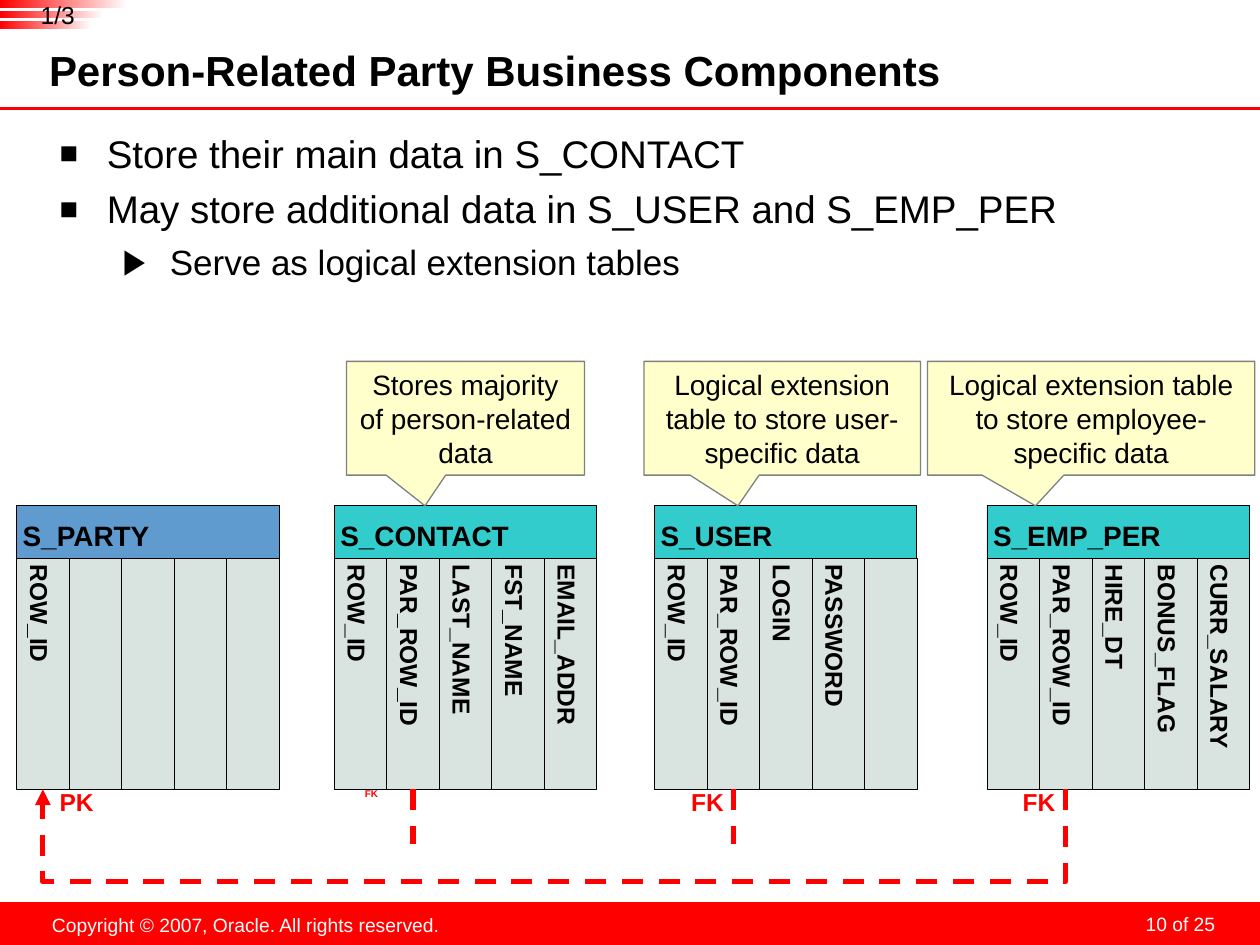
"""Build the slide on person-related party business components."""
from dataclasses import dataclass

from lxml import etree
from pptx import Presentation
from pptx.dml.color import RGBColor
from pptx.enum.dml import MSO_LINE
from pptx.enum.shapes import MSO_CONNECTOR, MSO_SHAPE
from pptx.enum.text import MSO_ANCHOR, MSO_AUTO_SIZE, PP_ALIGN
from pptx.oxml.ns import qn
from pptx.util import Pt

RECT, ROUND, CALLOUT = MSO_SHAPE.RECTANGLE, MSO_SHAPE.ROUNDED_RECTANGLE, MSO_SHAPE.RECTANGULAR_CALLOUT
STRAIGHT, ELBOW = MSO_CONNECTOR.STRAIGHT, MSO_CONNECTOR.ELBOW
LEFT, CENTER, RIGHT = PP_ALIGN.LEFT, PP_ALIGN.CENTER, PP_ALIGN.RIGHT
TOP, MIDDLE = MSO_ANCHOR.TOP, MSO_ANCHOR.MIDDLE
DASH, NO_FIT = MSO_LINE.DASH, MSO_AUTO_SIZE.NONE


@dataclass(frozen=True)
class Theme:
    font: str = "Arial"
    red: str = "FF0000"
    white: str = "FFFFFF"
    black: str = "000000"
    grey: str = "808080"
    note: str = "FFFFCC"
    column: str = "D9E3E0"
    party: str = "5F9BCF"
    extension: str = "33CCCC"
    title_size: float = 24
    body_sizes: tuple = (22, 20)
    table_size: float = 16
    label_size: float = 14
    footer_size: float = 11
    small_size: float = 5.6


T = Theme()

TITLE = "Person-Related Party Business Components"
BULLETS = [
    (0, "Store their main data in S_CONTACT"),
    (0, "May store additional data in S_USER and S_EMP_PER"),
    (1, "Serve as logical extension tables"),
]
BULLET_STYLES = [("■", 80, 27, 5.5), ("▶", 100, 63, 5)]
TABLES = [
    ("S_PARTY", 9.5, T.party, ["ROW_ID", "", "", "", ""]),
    ("S_CONTACT", 191, T.extension, ["ROW_ID", "PAR_ROW_ID", "LAST_NAME", "FST_NAME", "EMAIL_ADDR"]),
    ("S_USER", 374, T.extension, ["ROW_ID", "PAR_ROW_ID", "LOGIN", "PASSWORD", ""]),
    ("S_EMP_PER", 564, T.extension, ["ROW_ID", "PAR_ROW_ID", "HIRE_DT", "BONUS_FLAG", "CURR_SALARY"]),
]
CALLOUTS = [
    ("Stores majority of person-related data", 198, 136, -0.17),
    ("Logical extension table to store user-specific data", 368, 158, -0.16),
    ("Logical extension table to store employee-specific data", 530, 187, -0.17),
]
KEYS = [
    ("PK", 22.5, T.label_size, CENTER),
    ("FK", 201.5, T.small_size, LEFT),
    ("FK", 383, T.label_size, CENTER),
    ("FK", 572.5, T.label_size, CENTER),
]
STRIPES = [73, 59, 52.5]
TABLE_TOP, HEADER_H, COLUMN_W, COLUMN_H = 289, 30, 30, 132
TABLE_BOTTOM = TABLE_TOP + HEADER_H + COLUMN_H
CELL_INSETS = (3.5, 7, 3.5, 3.5)


def rgb(value):
    return RGBColor.from_string(value)


def place(sp, x, y, w, h):
    sp.left, sp.top, sp.width, sp.height = Pt(x), Pt(y), Pt(w), Pt(h)


def style(p, size, color=T.black, bold=False, align=LEFT):
    p.alignment = align
    for r in p.runs:
        r.font.name, r.font.size, r.font.bold = T.font, Pt(size), bold
        r.font.color.rgb = rgb(color)


def frame(sp, insets, anchor=TOP, wrap=True):
    tf = sp.text_frame
    tf.auto_size, tf.word_wrap, tf.vertical_anchor = NO_FIT, wrap, anchor
    tf.margin_left, tf.margin_top, tf.margin_right, tf.margin_bottom = map(Pt, insets)
    return tf


def write(sp, text, insets, size, color=T.black, bold=False, align=LEFT, anchor=TOP, wrap=True):
    tf = frame(sp, insets, anchor, wrap)
    tf.text = text
    style(tf.paragraphs[0], size, color, bold, align)


def label(s, box, *args, **kwargs):
    write(s.shapes.add_textbox(*map(Pt, box)), *args, **kwargs)


def shape(s, kind, box, fill, line=None, width=0.5):
    sp = s.shapes.add_shape(kind, *map(Pt, box))
    sp.shadow.inherit = False
    sp.fill.solid()
    sp.fill.fore_color.rgb = rgb(fill)
    if line:
        sp.line.color.rgb, sp.line.width = rgb(line), Pt(width)
    else:
        sp.line.fill.background()
    return sp


def connector(s, kind, x1, y1, x2, y2, width, dash=None):
    c = s.shapes.add_connector(kind, Pt(x1), Pt(y1), Pt(x2), Pt(y2))
    c.line.color.rgb, c.line.width, c.line.dash_style = rgb(T.red), Pt(width), dash
    etree.SubElement(c._element.spPr, qn("a:effectLst"))
    return c


def add_bullet(p, level):
    char, percent, margin, before = BULLET_STYLES[level]
    pPr = p._p.get_or_add_pPr()
    pPr.set("marL", str(Pt(margin)))
    pPr.set("indent", str(-Pt(27)))
    color = etree.SubElement(pPr, qn("a:buClr"))
    etree.SubElement(color, qn("a:srgbClr"), val=T.black)
    etree.SubElement(pPr, qn("a:buSzPct"), val=str(percent * 1000))
    etree.SubElement(pPr, qn("a:buFont"), typeface=T.font)
    etree.SubElement(pPr, qn("a:buChar"), char=char)
    return before


def add_text(s):
    title, body = s.shapes.title, s.placeholders[1]
    place(title, 28, 27, 567, 29)
    write(title, TITLE, (0, 0, 3.5, 3.5), T.title_size, bold=True, anchor=MIDDLE)
    place(body, 27, 67, 659, 443)
    tf = frame(body, (7, 7, 7, 3.5))
    tf.text = "\n".join(text for _, text in BULLETS)
    for i, (p, (level, _)) in enumerate(zip(tf.paragraphs, BULLETS)):
        p.level = level
        before = add_bullet(p, level)
        p.space_before = Pt(before if i else 0)
        style(p, T.body_sizes[level])


def add_furniture(s):
    shape(s, RECT, (0, 515.5, 720, 24.5), T.red)
    label(s, (530, 519, 168, 18), "10 of 25", (3.5, 2, 3.5, 0), T.footer_size, T.white, align=RIGHT)
    label(s, (22, 518.5, 237, 21), "Copyright © 2007, Oracle. All rights reserved.",
          (7, 3.5, 7, 3.5), T.footer_size, T.white, align=CENTER, wrap=False)
    connector(s, STRAIGHT, 0, 62, 720, 62, 1.75)
    for i, w in enumerate(STRIPES):
        sp = shape(s, ROUND, (0, 6 * i, w, 4.5), T.red)
        sp.adjustments[0] = 0
        sp.fill.gradient()
        sp.fill.gradient_angle = 180
        for stop, color, position in zip(sp.fill.gradient_stops, (T.white, T.red), (0, 1)):
            stop.color.rgb, stop.position = rgb(color), position
    label(s, (14.5, 0, 37, 16.5), "1/3", (0, 0, 0, 0), T.label_size, align=CENTER)


def add_table_diagram(s, name, left, fill, columns):
    header = shape(s, RECT, (left, TABLE_TOP, COLUMN_W * len(columns), HEADER_H), fill, T.black)
    write(header, name, CELL_INSETS, T.table_size, bold=True, anchor=MIDDLE, wrap=False)
    cells = []
    for i, text in enumerate(columns):
        x = left + COLUMN_W * (i + 0.5) - COLUMN_H / 2
        y = TABLE_BOTTOM - (COLUMN_H + COLUMN_W) / 2
        cell = shape(s, RECT, (x, y, COLUMN_H, COLUMN_W), T.column, T.black)
        cell.rotation = 90
        if text:
            write(cell, text, CELL_INSETS, T.label_size, bold=True, anchor=MIDDLE, wrap=False)
        cells.append(cell)
    return cells


def add_stub(s, cell, x):
    c = connector(s, STRAIGHT, x, TABLE_BOTTOM, x, TABLE_BOTTOM + 31.5, 3, DASH)
    c.begin_connect(cell, 3)
    c.begin_x, c.begin_y = Pt(x), Pt(TABLE_BOTTOM)


def add_key_path(s, x_from, x_to, drop=53.2, rise=0.2):
    middle, half = (x_from + x_to) / 2, (x_from - x_to) / 2
    c = connector(s, ELBOW, middle - rise / 2, TABLE_BOTTOM - half,
                  middle + rise / 2, TABLE_BOTTOM + half, 3, DASH)
    spPr = c._element.spPr
    spPr.find(qn("a:xfrm")).set("rot", "5400000")
    guides = spPr.find(qn("a:prstGeom")).find(qn("a:avLst"))
    etree.SubElement(guides, qn("a:gd"), name="adj1", fmla=f"val {round(drop / rise * 100000)}")
    etree.SubElement(spPr.find(qn("a:ln")), qn("a:tailEnd"), type="triangle")


def main():
    prs = Presentation()
    prs.slide_width, prs.slide_height = Pt(720), Pt(540)
    s = prs.slides.add_slide(prs.slide_layouts[1])
    add_text(s)
    add_furniture(s)
    cells = [add_table_diagram(s, *table) for table in TABLES]
    for text, x, w, tip in CALLOUTS:
        sp = shape(s, CALLOUT, (x, 206.5, w, 65), T.note, T.grey, 0.75)
        sp.adjustments[0], sp.adjustments[1] = tip, 0.77
        write(sp, text, (7, 3.5, 7, 3.5), T.table_size, align=CENTER, anchor=MIDDLE)
    lefts = [left for _, left, _, _ in TABLES]
    for i in (1, 2):
        add_stub(s, cells[i][1], lefts[i] + COLUMN_W * 1.5)
    add_key_path(s, lefts[3] + COLUMN_W * 1.5, lefts[0] + COLUMN_W / 2)
    for text, x, size, align in KEYS:
        label(s, (x, 443, 42.5, 28), text, (7, 7, 7, 3.5), size, T.red, True, align)
    prs.save("out.pptx")


if __name__ == "__main__":
    main()
